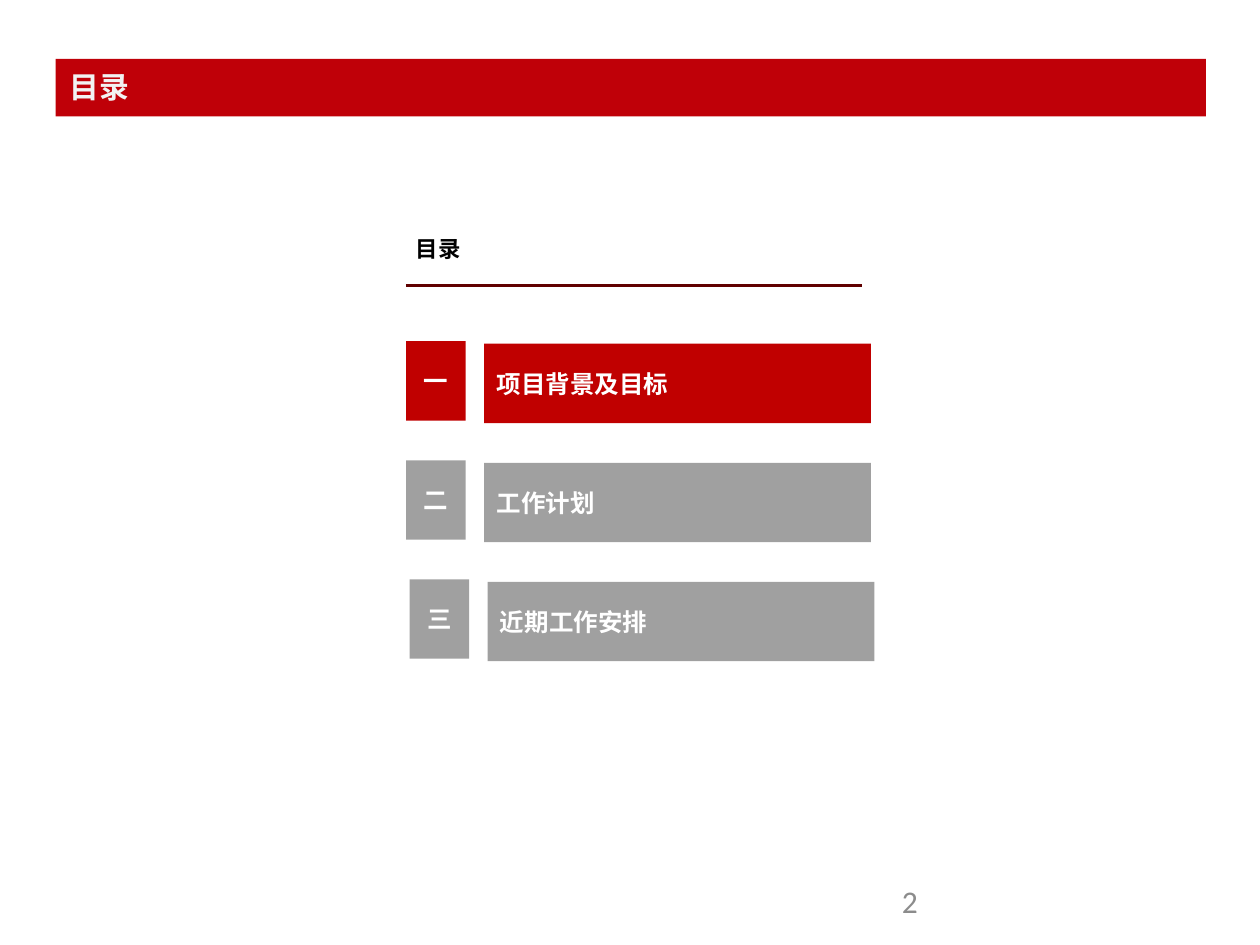
from dataclasses import dataclass

from lxml import etree
from pptx import Presentation
from pptx.dml.color import RGBColor
from pptx.enum import shapes, text
from pptx.oxml import ns
from pptx.util import Cm, Pt


@dataclass(frozen=True)
class Theme:
    banner: str = "BF0008"
    banner_text: str = "F2F2F2"
    active: str = "C00000"
    inactive: str = "A0A0A0"
    rule: str = "600000"
    white: str = "FFFFFF"
    black: str = "000000"
    page_number: str = "8C8C8C"
    chinese_font: str = "Noto Sans CJK SC"
    latin_font: str = "Calibri"
    title_size: int = 17
    heading_size: int = 16
    item_size: int = 14
    number_size: int = 18


THEME = Theme()


def write_text(shape, words, size, color, font=THEME.chinese_font, bold=True,
               align=text.PP_ALIGN.LEFT, anchor=text.MSO_ANCHOR.MIDDLE):
    """Fill a shape with one formatted paragraph and return the paragraph."""
    frame = shape.text_frame
    frame.text = words
    frame.word_wrap = True
    frame.vertical_anchor = anchor
    paragraph = frame.paragraphs[0]
    paragraph.alignment = align
    run = paragraph.runs[0]
    run.font.size = Pt(size)
    run.font.bold = bold
    run.font.name = font
    run.font.color.rgb = RGBColor.from_string(color)
    east_asian = etree.SubElement(run._r.get_or_add_rPr(), ns.qn("a:ea"))
    east_asian.set("typeface", font)
    return paragraph


def add_block(slide, left, top, width, height, fill):
    """Add a plain filled rectangle, measured in centimetres."""
    shape = slide.shapes.add_shape(
        shapes.MSO_SHAPE.RECTANGLE, Cm(left), Cm(top), Cm(width), Cm(height))
    shape.shadow.inherit = False
    shape.fill.solid()
    shape.fill.fore_color.rgb = RGBColor.from_string(fill)
    shape.line.fill.background()
    return shape


def add_text_box(slide, left, top, width, height):
    return slide.shapes.add_textbox(Cm(left), Cm(top), Cm(width), Cm(height))


def add_banner(slide, left, top, width, height, title):
    add_block(slide, left, top, width, height, THEME.banner)
    box = add_text_box(slide, left + 0.03, top + 0.2, 14.38, 0.86)
    paragraph = write_text(box, title, THEME.title_size, THEME.banner_text,
                           anchor=text.MSO_ANCHOR.BOTTOM)
    paragraph.line_spacing = 0.9


def add_heading(slide, left, top, width, height, words):
    """Add the small-caps heading with the rule below it."""
    box = add_text_box(slide, left + 0.2, top, width - 0.43, 0.94)
    box.text_frame.margin_left = box.text_frame.margin_right = 0
    paragraph = write_text(box, words, THEME.heading_size, THEME.black)
    paragraph.runs[0]._r.get_or_add_rPr().set("cap", "small")

    bottom = Cm(top + height)
    rule = slide.shapes.add_connector(
        shapes.MSO_CONNECTOR.STRAIGHT, Cm(left), bottom, Cm(left + width), bottom)
    rule.line.color.rgb = RGBColor.from_string(THEME.rule)
    rule.line.width = Pt(1.5)
    etree.SubElement(rule._element.spPr, ns.qn("a:effectLst"))


def add_agenda_item(slide, left, top, width, height, number, label, fill):
    """Add a number block and, slightly lower, its label block."""
    number_block = add_block(slide, left, top, 1.2, height, fill)
    write_text(number_block, number, THEME.item_size, THEME.white,
               align=text.PP_ALIGN.CENTER)
    label_left = 1.57
    label_block = add_block(slide, left + label_left, top + 0.05,
                            width - label_left, height, fill)
    write_text(label_block, label, THEME.item_size, THEME.white)


def add_agenda(slide, left, top, width, pitch):
    items = [
        # number, label, fill, shift to the right
        ("一", "项目背景及目标", THEME.active, 0),
        ("二", "工作计划", THEME.inactive, 0),
        ("三", "近期工作安排", THEME.inactive, 0.07),
    ]
    for row, (number, label, fill, shift) in enumerate(items):
        add_agenda_item(slide, left + shift, top + row * pitch, width, 1.6,
                        number, label, fill)


def add_page_number(slide, left, top, width, height, number):
    box = add_text_box(slide, left, top, width, height)
    write_text(box, number, THEME.number_size, THEME.page_number,
               font=THEME.latin_font, bold=False, anchor=text.MSO_ANCHOR.TOP)


def main():
    presentation = Presentation()
    presentation.slide_width = Cm(25.4)
    presentation.slide_height = Cm(19.05)
    slide = presentation.slides.add_slide(presentation.slide_layouts[6])

    # Title banner
    add_banner(slide, 1.12, 1.19, 23.19, 1.16, "目录")
    # Contents list
    add_heading(slide, 8.18, 4.5, 9.2, 1.26, "目录")
    add_agenda(slide, 8.19, 6.88, 9.37, 2.4)
    # Footer
    add_page_number(slide, 17.93, 17.65, 5.72, 1.02, "2")

    presentation.save("out.pptx")


if __name__ == "__main__":
    main()
